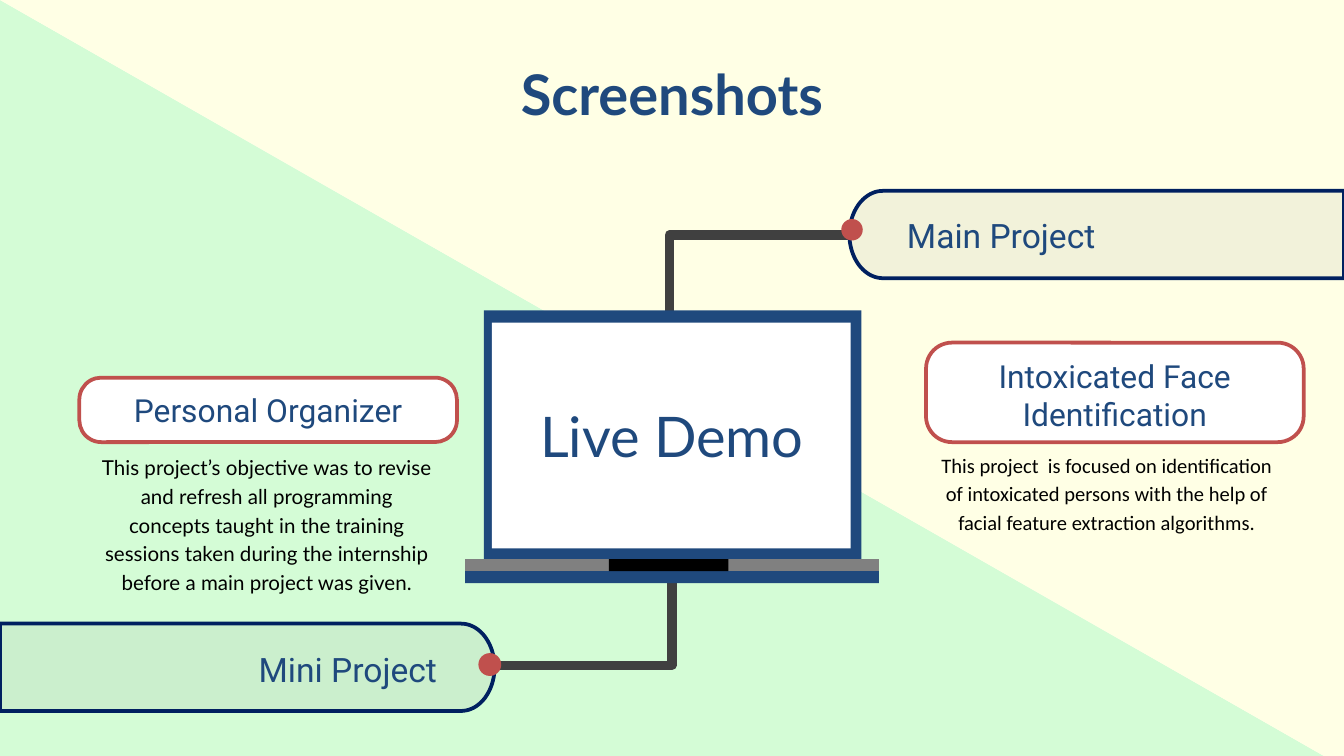
from math import cos, pi, sin
from pptx import Presentation
from pptx.dml.color import RGBColor
from pptx.enum.shapes import MSO_SHAPE
from pptx.enum.text import MSO_ANCHOR, PP_ALIGN
from pptx.oxml.ns import qn
from pptx.util import Inches, Pt
from lxml import etree

RECT, ROUND, OVAL = MSO_SHAPE.RECTANGLE, MSO_SHAPE.ROUNDED_RECTANGLE, MSO_SHAPE.OVAL
LEFT, CENTER, RIGHT = PP_ALIGN.LEFT, PP_ALIGN.CENTER, PP_ALIGN.RIGHT
TOP = MSO_ANCHOR.TOP
WIDTH = 10
HEIGHT = WIDTH * 9 / 16

THEME = {
    "cream": "FFFFE5", "mint": "D4FCD6", "blue": "1F497D", "navy": "002060",
    "red": "C0504D", "gray": "808080", "wire": "404040", "white": "FFFFFF", "black": "000000",
    "heading": 30, "panel": 18, "label": 17, "body": 11, "leading": 15.3,
    "display_font": "Lato", "label_font": "Roboto", "plain_font": "Calibri",
}

# Content; boxes are (left, top, width, height) in inches
TITLE = ("Screenshots", (3.7, 0.42, 2.6, 0.54))
DEMO = ("Live Demo", (3.66, 2.97, 2.68, 0.54))
BACKDROP = [
    ("mint", [(0, 0), (0, HEIGHT), (9.85, HEIGHT)]),
    ("cream", [(0, 0), (WIDTH, 0), (WIDTH, HEIGHT), (9.85, HEIGHT)]),
]
WIRES = [
    [(5, 3.69), (5, 4.95), (3.66, 4.95)],
    [(4.98, 3.01), (4.98, 1.75), (6.32, 1.75)],
]
LAPTOP = [
    ("blue", (3.6, 2.31, 2.81, 1.85)),
    ("white", (3.66, 2.4, 2.67, 1.68)),
    ("gray", (3.46, 4.16, 3.08, 0.09)),
    ("blue", (3.46, 4.25, 3.08, 0.09)),
    ("black", (4.53, 4.16, 0.89, 0.09)),
]
# text, slide edge, tip, top, text box, alignment
PANELS = [
    ("Main Project", WIDTH, 6.32, 1.42, (6.65, 1.55, 3.35, 0.4), LEFT),
    ("Mini Project", 0, 3.68, 4.64, (0, 4.78, 3.35, 0.4), RIGHT),
]
PANEL_HEIGHT, PANEL_CURVE = 0.65, 0.25
DOTS = [(3.56, 4.86, 0.17, 0.17), (6.26, 1.63, 0.16, 0.16)]
# label, label box, corner, description, description box, description font
PROJECTS = [
    ("Intoxicated Face Identification", (6.89, 2.55, 2.81, 0.74), 0.26,
     "This project  is focused on identification of intoxicated persons "
     "with the help of facial feature extraction algorithms.",
     (6.89, 3.29, 2.69, 0.73), "plain_font"),
    ("Personal Organizer", (0.59, 2.81, 2.81, 0.48), 0.34,
     "This project’s objective was to revise and refresh all programming concepts "
     "taught in the training sessions taken during the internship before a main "
     "project was given.",
     (0.64, 3.31, 2.69, 1.15), "display_font"),
]


def color(name):
    return RGBColor.from_string(THEME[name])


def style(shape, fill=None, line=None, weight=2, alpha=None):
    shape.shadow.inherit = False
    if fill:
        shape.fill.solid()
        shape.fill.fore_color.rgb = color(fill)
    else:
        shape.fill.background()
    if alpha:
        tint = shape._element.spPr.find(qn("a:solidFill"))[0]
        etree.SubElement(tint, qn("a:alpha")).set("val", str(alpha * 1000))
    if line:
        shape.line.color.rgb = color(line)
        shape.line.width = Pt(weight)
    else:
        shape.line.fill.background()
    return shape


def add_block(page, kind, box, **look):
    return style(page.shapes.add_shape(kind, *map(Inches, box)), **look)


def add_outline(page, points, close=True, **look):
    start, *rest = [(Inches(x), Inches(y)) for x, y in points]
    builder = page.shapes.build_freeform(*start)
    builder.add_line_segments(rest, close=close)
    return style(builder.convert_to_shape(), **look)


def write(shape, text, size, font, align=CENTER, ink="blue", bold=False,
          leading=None, inset=(0.1, 0.05), wrap=True):
    frame = shape.text_frame
    frame.word_wrap, frame.vertical_anchor = wrap, TOP
    frame.margin_left = frame.margin_right = Inches(inset[0])
    frame.margin_top = frame.margin_bottom = Inches(inset[1])
    para = frame.paragraphs[0]
    para.alignment = align
    if leading:
        para.line_spacing = Pt(leading)
    span = para.add_run()
    span.text = text
    span.font.name, span.font.size, span.font.bold = THEME[font], Pt(THEME[size]), bold
    span.font.color.rgb = color(ink)


def add_text(page, text, box, **look):
    write(page.shapes.add_textbox(*map(Inches, box)), text, **look)


def panel_points(edge, tip, top):
    """Panel running from the slide edge to a half-ellipse tip."""
    direction = 1 if tip > edge else -1
    base, radius = tip - direction * PANEL_CURVE, PANEL_HEIGHT / 2
    angles = [pi * (step / 40 - 0.5) for step in range(41)]
    curve = [(base + direction * PANEL_CURVE * cos(a), top + radius + radius * sin(a))
             for a in angles]
    return [(edge, top), *curve, (edge, top + PANEL_HEIGHT)]


def main():
    deck = Presentation()
    deck.slide_width, deck.slide_height = Inches(WIDTH), Inches(HEIGHT)
    page = deck.slides.add_slide(deck.slide_layouts[5])

    # Two-tone backdrop
    for fill, points in BACKDROP:
        add_outline(page, points, fill=fill)

    # Wires, then the laptop over them
    for points in WIRES:
        add_outline(page, points, close=False, line="wire", weight=5)
    for fill, box in LAPTOP:
        add_block(page, RECT, box, fill=fill)

    # Edge panels and their dots
    for text, edge, tip, top, box, align in PANELS:
        add_outline(page, panel_points(edge, tip, top), fill="gray", alpha=10, line="navy")
        add_text(page, text, box, size="panel", font="label_font", align=align)
    for box in DOTS:
        add_block(page, OVAL, box, fill="red")

    # Project labels and descriptions
    for label, label_box, corner, text, text_box, font in PROJECTS:
        add_text(page, text, text_box, size="body", font=font, ink="black",
                 leading=THEME["leading"])
        badge = add_block(page, ROUND, label_box, fill="white", line="red")
        badge.adjustments[0] = corner
        write(badge, label, "label", "label_font")

    # Title and screen caption
    text, box = TITLE
    title = page.shapes.title
    title.left, title.top, title.width, title.height = map(Inches, box)
    write(title, text, "heading", "display_font", bold=True, inset=(0.04, 0.02), wrap=False)
    page.shapes._spTree.append(title._element)
    text, box = DEMO
    add_text(page, text, box, size="heading", font="display_font", inset=(0.04, 0.02))

    deck.save("out.pptx")


if __name__ == "__main__":
    main()
